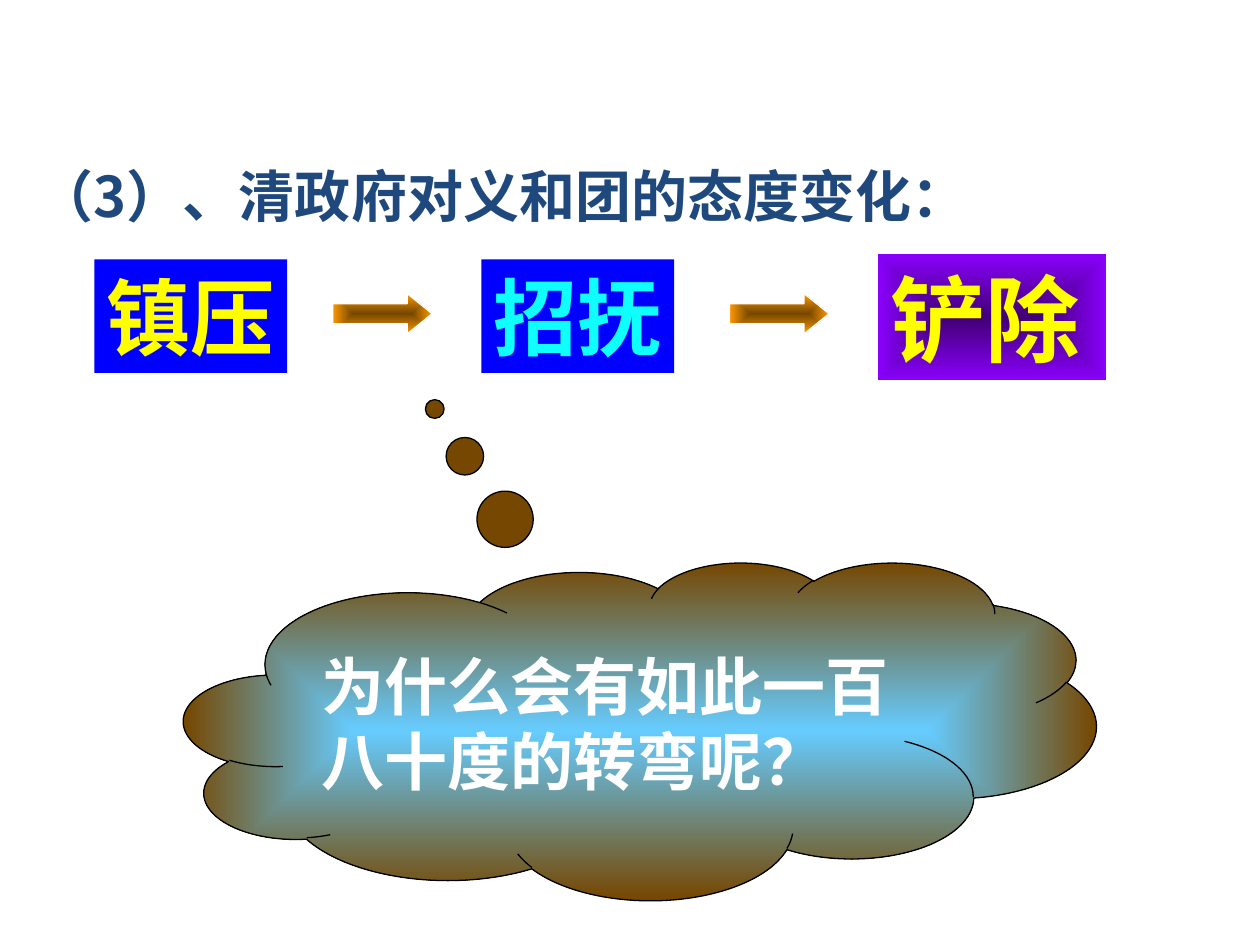
from lxml import etree
from pptx import Presentation
from pptx.dml.color import RGBColor
from pptx.enum.shapes import MSO_SHAPE
from pptx.enum.text import MSO_ANCHOR, MSO_AUTO_SIZE, PP_ALIGN
from pptx.oxml.ns import qn
from pptx.util import Inches, Pt

CJK_FONT = "Noto Sans CJK SC"


def write(sp, text, size, color, font="Calibri", anchor=MSO_ANCHOR.TOP, wrap=True, grow=True):
    """Put one bold, left-aligned run into a shape."""
    tf = sp.text_frame
    tf.word_wrap = wrap
    tf.auto_size = MSO_AUTO_SIZE.SHAPE_TO_FIT_TEXT if grow else MSO_AUTO_SIZE.NONE
    tf.vertical_anchor = anchor
    p = tf.paragraphs[0]
    p.alignment = PP_ALIGN.LEFT
    r = p.add_run()
    r.text = text
    r.font.size = Pt(size)
    r.font.bold = True
    r.font.name = font
    r.font.color.rgb = RGBColor.from_string(color)
    etree.SubElement(r.font._element, qn("a:ea"), typeface=CJK_FONT)


def add_filled(kind, box, colors, path="rect", line=None):
    """Add a shape with a solid fill, or a gradient from centre to edge."""
    sp = s.shapes.add_shape(kind, *[Inches(v) for v in box])
    sp.shadow.inherit = False
    if len(colors) == 1:
        sp.fill.solid()
        sp.fill.fore_color.rgb = RGBColor.from_string(colors[0])
    else:
        sp.fill.gradient()
        for stop, color in zip(sp.fill.gradient_stops, colors):
            stop.color.rgb = RGBColor.from_string(color)
        grad = sp._element.spPr.find(qn("a:gradFill"))
        grad.remove(grad.find(qn("a:lin")))
        centre = etree.SubElement(grad, qn("a:path"), path=path)
        etree.SubElement(centre, qn("a:fillToRect"), l="50000", t="50000", r="50000", b="50000")
    if line:
        sp.line.color.rgb = RGBColor.from_string(line)
        sp.line.width = Pt(0.75)
    else:
        sp.line.fill.background()
    return sp


prs = Presentation()
prs.slide_width, prs.slide_height = Inches(10), Inches(7.5)
s = prs.slides.add_slide(prs.slide_layouts[5])

# Heading
title = s.shapes.title
title.left, title.top, title.width, title.height = [Inches(v) for v in (0.2, 1.23, 7.95, 0.63)]
write(title, "（3）、清政府对义和团的态度变化：", 32, "1F497D", font=CJK_FONT)

# First two attitudes
for left, text, color in [(0.75, "镇压", "FFFF00"), (3.82, "招抚", "0FFFFF")]:
    sp = add_filled(MSO_SHAPE.RECTANGLE, (left, 2.06, 1.53, 0.9), ["0000FF"])
    write(sp, text, 48, color, wrap=False)

# Arrows between the attitudes
for left in (2.64, 5.79):
    arrow = add_filled(MSO_SHAPE.RIGHT_ARROW, (left, 2.33, 0.79, 0.32),
                       ["764700", "FF9900"], line="FFFFFF")
    arrow.adjustments[0] = 0.5
    arrow.adjustments[1] = 0.62

# Final attitude
sp = add_filled(MSO_SHAPE.RECTANGLE, (6.97, 2.02, 1.81, 1), ["400075", "8A00FC"], path="shape")
write(sp, "铲除", 54, "FFFF00")

# Question in the thought cloud
cloud = add_filled(MSO_SHAPE.CLOUD_CALLOUT, (1.46, 4.46, 7.24, 2.68),
                   ["66CCFF", "764700"], line="000000")
cloud.adjustments[0] = -0.225
cloud.adjustments[1] = -0.953
write(cloud, "为什么会有如此一百八十度的转弯呢？", 36, "FFFFFF", anchor=MSO_ANCHOR.MIDDLE, grow=False)

prs.save("out.pptx")
